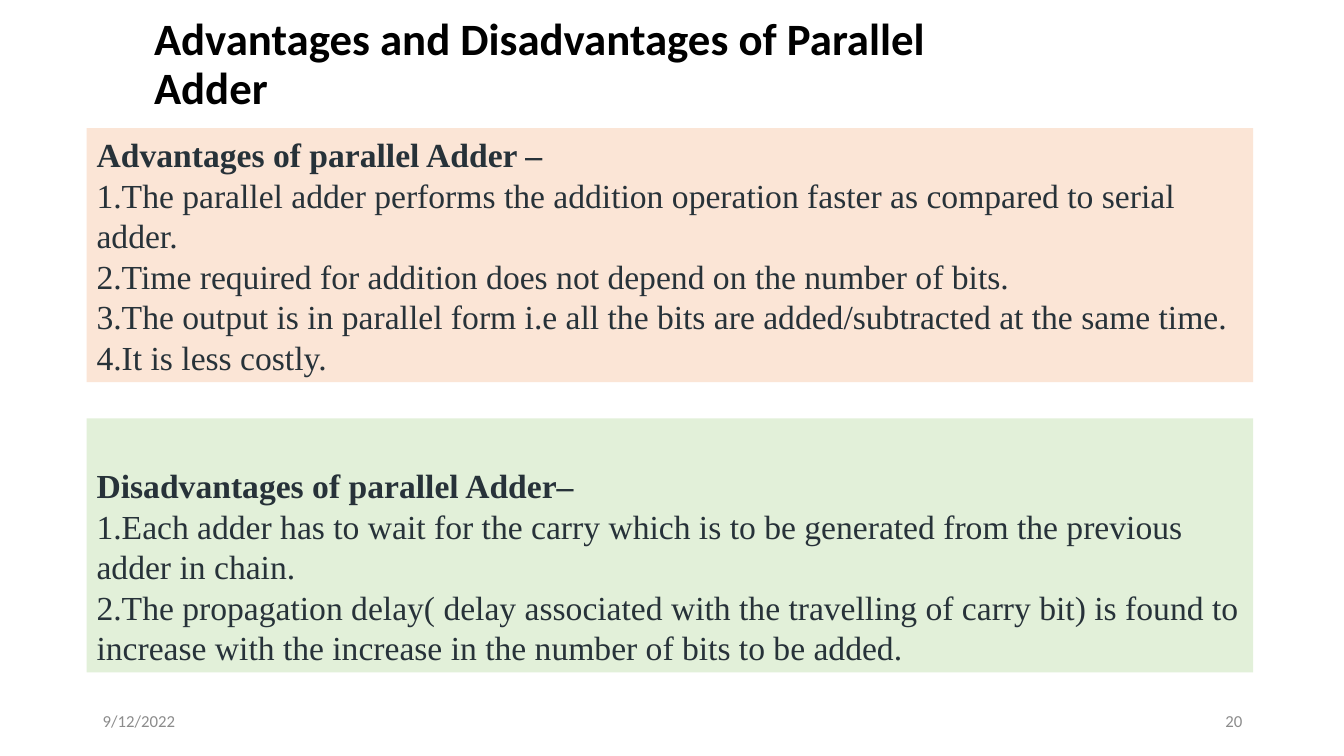
from lxml.etree import SubElement
from pptx import Presentation
from pptx.dml.color import RGBColor
from pptx.enum.shapes import MSO_SHAPE
from pptx.enum.text import MSO_ANCHOR as Anchor, PP_ALIGN as Align
from pptx.oxml.ns import qn
from pptx.util import Inches, Pt

ADVANTAGES = [
    "The parallel adder performs the addition operation faster as compared to serial adder.",
    "Time required for addition does not depend on the number of bits.",
    "The output is in parallel form i.e all the bits are added/subtracted at the same time.",
    "It is less costly.",
]
DISADVANTAGES = [
    "Each adder has to wait for the carry which is to be generated from the previous adder in chain.",
    "The propagation delay( delay associated with the travelling of carry bit) is found to "
    "increase with the increase in the number of bits to be added.",
]
PANEL_LEFT, PANEL_WIDTH, PANEL_HEIGHT = 0.86, 11.57, 2.52


def color(hex_code):
    return RGBColor.from_string(hex_code)


def style(paragraph, size, face, hex_code, bold=False):
    font = paragraph.font
    font.size, font.name, font.bold = Pt(size), face, bold
    font.color.rgb = color(hex_code)


def number(paragraph):
    """Turn on automatic numbering with no indent."""
    properties = paragraph._p.get_or_add_pPr()
    properties.set("marL", "0")
    properties.set("indent", "0")
    SubElement(properties, qn("a:buFont"), typeface="+mj-lt")
    SubElement(properties, qn("a:buAutoNum"), type="arabicPeriod")


def add_label(slide, box, text, size, hex_code, bold=False,
              align=Align.LEFT, anchor=Anchor.MIDDLE, spacing=1.0):
    frame = slide.shapes.add_textbox(*map(Inches, box)).text_frame
    frame.word_wrap = True
    frame.vertical_anchor = anchor
    frame.text = text
    line = frame.paragraphs[0]
    line.alignment, line.line_spacing = align, spacing
    style(line, size, "Calibri", hex_code, bold)


def add_panel(slide, box, heading, points, fill):
    """Place a filled panel whose heading and numbered points rest on its bottom edge."""
    panel = slide.shapes.add_shape(MSO_SHAPE.RECTANGLE, *map(Inches, box))
    panel.shadow.inherit = False
    panel.fill.solid()
    panel.fill.fore_color.rgb = color(fill)
    panel.line.fill.background()
    frame = panel.text_frame
    frame.word_wrap = True
    frame.vertical_anchor = Anchor.BOTTOM
    frame.text = "\n".join([heading, *points])
    for index, paragraph in enumerate(frame.paragraphs):
        if index:
            number(paragraph)
        paragraph.alignment = Align.LEFT
        paragraph.line_spacing = Pt(28.9)
        style(paragraph, 24, "Times New Roman", "273239", bold=index == 0)


def add_footer(slide, box, date, page):
    left, top, width, height = box
    cell = 3
    add_label(slide, (left, top, cell, height), date, 12, "8C8C8C")
    add_label(slide, (left + width - cell, top, cell, height), page, 12, "8C8C8C",
              align=Align.RIGHT)


def main():
    deck = Presentation()
    deck.slide_width, deck.slide_height = Inches(13.33), Inches(7.5)
    slide = deck.slides.add_slide(deck.slide_layouts[6])
    add_label(slide, (1.43, 0.12, 8.66, 0.59),
              "Advantages and Disadvantages of Parallel Adder", 32, "000000",
              bold=True, anchor=Anchor.TOP, spacing=0.9)
    panels = [
        (1.27, "Advantages of parallel Adder –", ADVANTAGES, "FBE5D6"),
        (4.15, "Disadvantages of parallel Adder–", DISADVANTAGES, "E2F0D9"),
    ]
    for top, heading, points, fill in panels:
        add_panel(slide, (PANEL_LEFT, top, PANEL_WIDTH, PANEL_HEIGHT), heading, points, fill)
    add_footer(slide, (0.92, 6.95, 11.5, 0.4), "9/12/2022", "20")
    deck.save("out.pptx")


if __name__ == "__main__":
    main()
